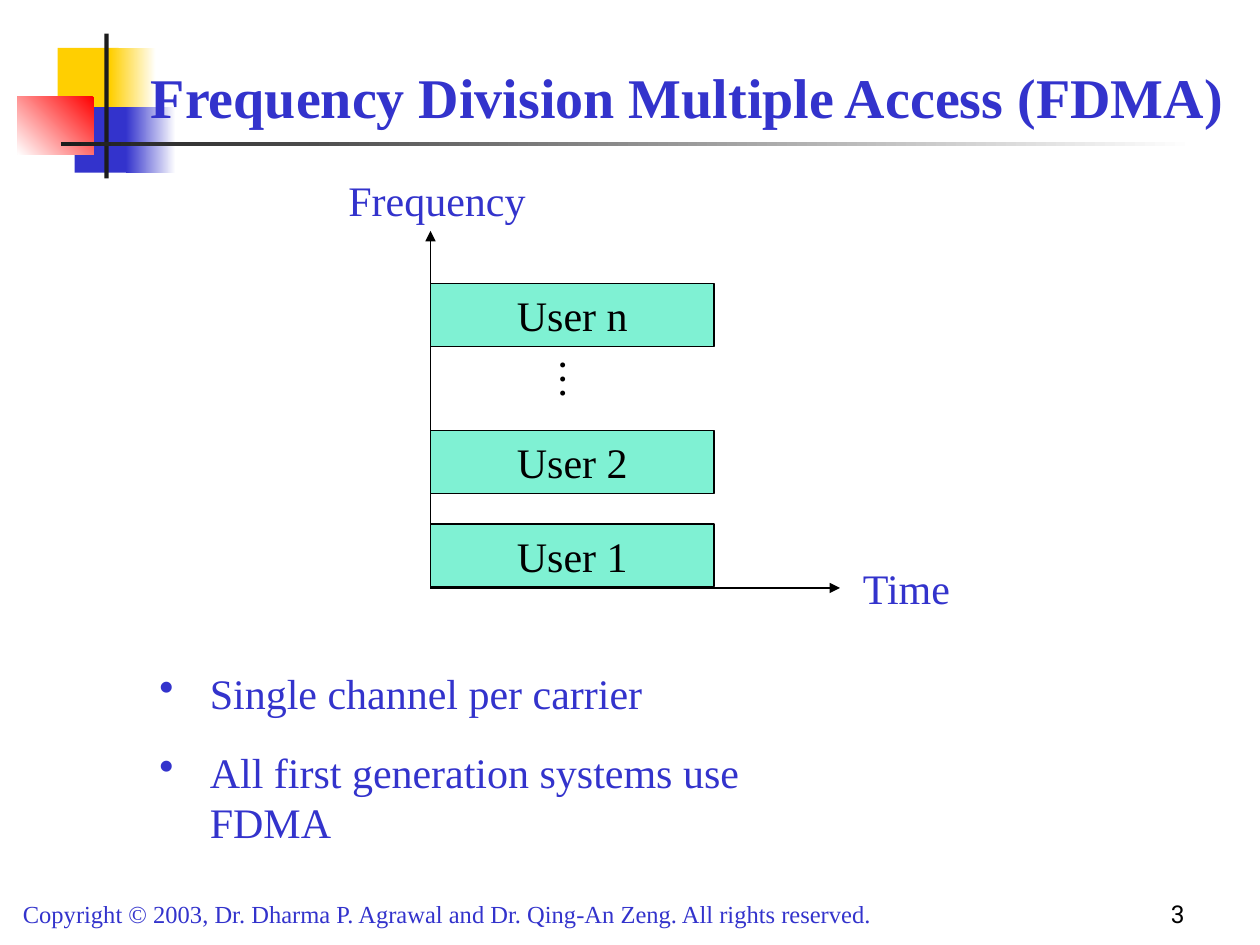
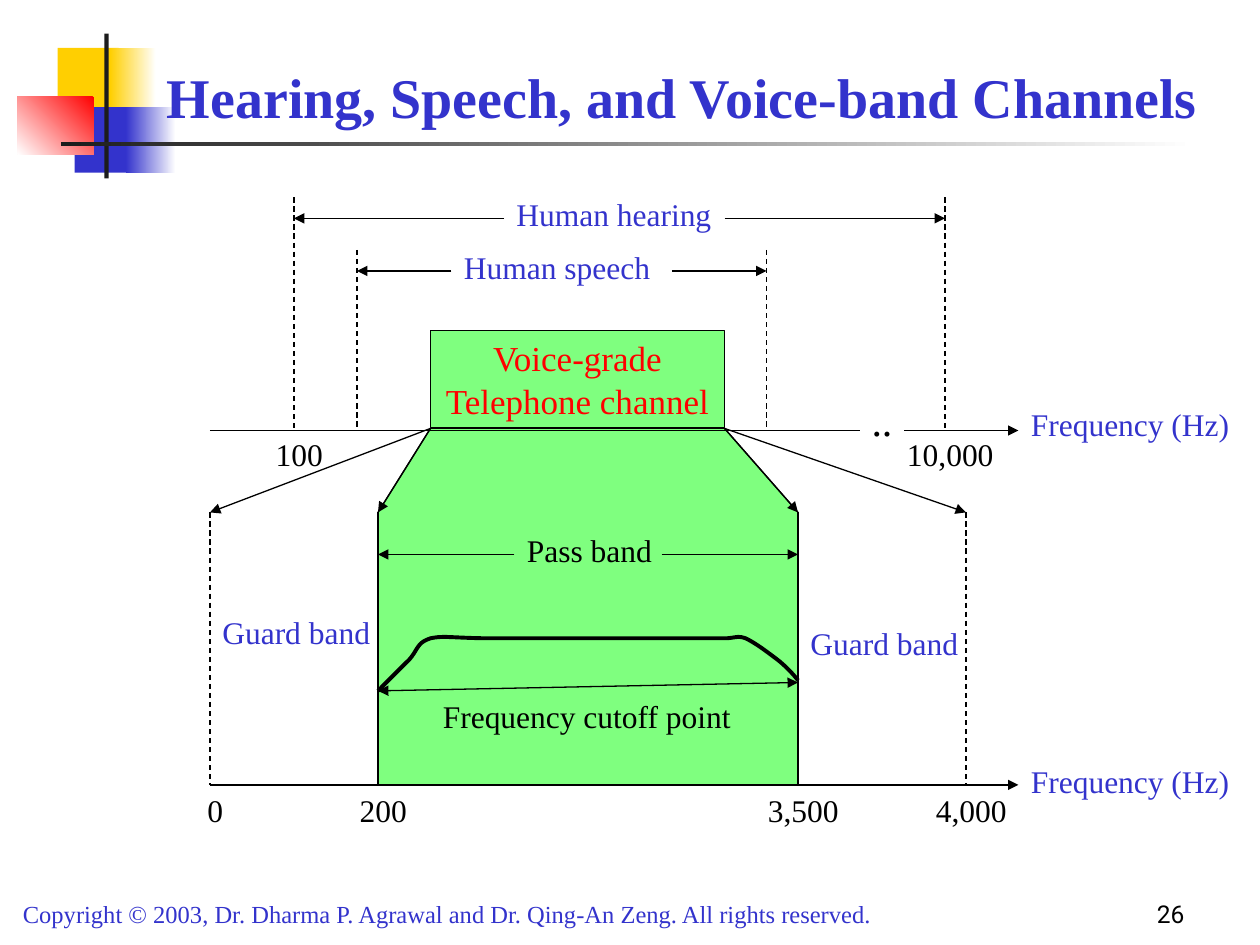
from dataclasses import dataclass

from lxml.etree import SubElement
from pptx import Presentation
from pptx.dml.color import RGBColor as RGB
from pptx.enum.dml import MSO_LINE
from pptx.enum.shapes import MSO_CONNECTOR, MSO_SHAPE
from pptx.enum.text import MSO_ANCHOR as ANCHOR, MSO_AUTO_SIZE as AUTOSIZE, PP_ALIGN as ALIGN
from pptx.oxml.ns import qn
from pptx.util import Emu, Inches, Pt

COLUMNS, ROWS = 120, 90
TITLE_ONLY = 5


@dataclass(frozen=True)
class Theme:
    # Colours
    blue: RGB = RGB(0x33, 0x33, 0xCC)
    yellow: RGB = RGB(0xFF, 0xCF, 0x01)
    red: RGB = RGB(0xFF, 0x00, 0x00)
    charcoal: RGB = RGB(0x1C, 0x1C, 0x1C)
    black: RGB = RGB(0x00, 0x00, 0x00)
    white: RGB = RGB(0xFF, 0xFF, 0xFF)
    mint: RGB = RGB(0x00, 0xE4, 0xA8)
    green: RGB = RGB(0x00, 0xFF, 0x00)
    # Type and line sizes in points
    serif: str = "Times New Roman"
    sans: str = "Roboto"
    title: int = 32
    large: int = 24
    channel: int = 20
    label: int = 18
    footer: int = 14
    thin: float = 0.75
    thick: float = 2.25


def apply(target, formats):
    for name, value in formats.items():
        setattr(target, name, value)


class Deck:
    """Holds the theme and the current slide; lengths are grid columns and rows."""

    def __init__(self, theme):
        self.theme = theme
        self.show = Presentation()
        apply(self.show, {"slide_width": Inches(10), "slide_height": Inches(7.5)})
        self.slide = None

    def x(self, columns):
        return Emu(round(self.show.slide_width * columns / COLUMNS))

    def y(self, rows):
        return Emu(round(self.show.slide_height * rows / ROWS))

    def box(self, left, top, width, height):
        return self.x(left), self.y(top), self.x(width), self.y(height)

    def new_slide(self, title, number, title_left, title_width):
        theme = self.theme
        self.slide = self.show.slides.add_slide(self.show.slide_layouts[TITLE_ONLY])
        self.ornament()
        self.label(1, 85, 91, 4,
                   "Copyright © 2003, Dr. Dharma P. Agrawal and Dr. Qing-An Zeng. "
                   "All rights reserved.", size=theme.footer)
        self.label(89, 83, 25, 6, str(number), size=theme.footer, color=theme.black,
                   font=theme.sans, align=ALIGN.RIGHT, anchor=ANCHOR.BOTTOM)
        # Title, kept in front of the ornament
        heading = self.slide.shapes.title
        left, top, width, height = self.box(title_left, 3, title_width, 10)
        apply(heading, {"left": left, "top": top, "width": width, "height": height})
        self.set_text(heading, [title], size=theme.title, bold=True,
                      align=ALIGN.CENTER, anchor=ANCHOR.BOTTOM)
        heading._element.getparent().append(heading._element)

    def ornament(self):
        theme = self.theme
        self.block(5.5, 4.55, 5.8, 6.25, theme.yellow)
        self.fade(10.5, 4.55, 4.35, 6.25, theme.yellow)
        self.block(7.1, 10.2, 5.55, 6.25, theme.blue)
        self.fade(12, 10.2, 4.75, 6.25, theme.blue)
        self.fade(1.65, 9.2, 7.3, 5.5, theme.red, angle=225)
        self.block(9.95, 3.2, 0.4, 13.8, theme.charcoal)
        self.fade(5.8, 13.55, 108, 0.4, theme.charcoal)

    def set_text(self, holder, lines, size, color=None, font=None, bold=False,
                 align=ALIGN.LEFT, anchor=ANCHOR.TOP, wrap=True, gap=0, bullet_indent=0):
        frame = holder.text_frame
        apply(frame, {
            "auto_size": AUTOSIZE.NONE, "word_wrap": wrap, "vertical_anchor": anchor,
            "margin_left": Inches(0.1), "margin_right": Inches(0.1),
            "margin_top": Inches(0.05), "margin_bottom": Inches(0.05)})
        for index, line in enumerate(lines):
            paragraph = frame.add_paragraph() if index else frame.paragraphs[0]
            paragraph.alignment = align
            if index:
                paragraph.space_before = Pt(gap)
            if bullet_indent:
                self.bullet(paragraph, self.x(bullet_indent))
            run = paragraph.add_run()
            run.text = line
            apply(run.font, {"name": font or self.theme.serif, "size": Pt(size), "bold": bold})
            run.font.color.rgb = color or self.theme.blue

    def bullet(self, paragraph, indent):
        properties = paragraph._p.get_or_add_pPr()
        properties.set("marL", str(indent))
        properties.set("indent", str(-indent))
        SubElement(properties, qn("a:buChar")).set("char", "•")

    def label(self, left, top, width, height, text, rotation=0, **formats):
        holder = self.slide.shapes.add_textbox(*self.box(left, top, width, height))
        holder.rotation = rotation
        lines = [text] if isinstance(text, str) else text
        self.set_text(holder, lines, **{"size": self.theme.label, **formats})

    def paint(self, shape, fill=None, line=None, width=None, sheer=False):
        shape.shadow.inherit = False
        if fill is None:
            shape.fill.background()
        else:
            shape.fill.solid()
            shape.fill.fore_color.rgb = fill
        if sheer:
            color = shape._element.spPr.find(".//" + qn("a:srgbClr"))
            SubElement(color, qn("a:alpha")).set("val", "50000")
        if line is None:
            shape.line.fill.background()
        else:
            shape.line.color.rgb = line
            shape.line.width = Pt(width or self.theme.thin)

    def block(self, left, top, width, height, fill, line=None, sheer=False,
              text=None, **formats):
        shape = self.slide.shapes.add_shape(MSO_SHAPE.RECTANGLE,
                                            *self.box(left, top, width, height))
        self.paint(shape, fill, line, sheer=sheer)
        if text:
            self.set_text(shape, [text], align=ALIGN.CENTER, **formats)
        return shape

    def fade(self, left, top, width, height, color, angle=0):
        fill = self.block(left, top, width, height, color).fill
        fill.gradient()
        fill.gradient_angle = angle
        for stop, shade in zip(fill.gradient_stops, (color, self.theme.white)):
            stop.color.rgb = shade

    def line(self, start, end, ends=(), dashed=False):
        connector = self.slide.shapes.add_connector(
            MSO_CONNECTOR.STRAIGHT, self.x(start[0]), self.y(start[1]),
            self.x(end[0]), self.y(end[1]))
        connector.line.color.rgb = self.theme.black
        connector.line.width = Pt(self.theme.thin)
        if dashed:
            connector.line.dash_style = MSO_LINE.DASH
        for tip in ends:
            SubElement(connector.line._get_or_add_ln(), qn(f"a:{tip}")).set("type", "triangle")
        SubElement(connector._element.spPr, qn("a:effectLst"))

    def arrow(self, start, end):
        self.line(start, end, ends=["tailEnd"])

    def outline(self, points, close, **formats):
        scaled = [(self.x(column), self.y(row)) for column, row in points]
        builder = self.slide.shapes.build_freeform(*scaled[0], scale=1.0)
        builder.add_line_segments(scaled[1:], close=close)
        self.paint(builder.convert_to_shape(), line=self.theme.black, **formats)

    def curve(self, start, segments, steps=10):
        points = [start]
        for control_1, control_2, end in segments:
            corners = list(zip(points[-1], control_1, control_2, end))
            for step in range(1, steps + 1):
                t = step / steps
                weights = ((1 - t) ** 3, 3 * t * (1 - t) ** 2, 3 * t * t * (1 - t), t ** 3)
                points.append(tuple(sum(w * c for w, c in zip(weights, axis))
                                    for axis in corners))
        self.outline(points, close=False, width=self.theme.thick)

    def span(self, left, right, row, gap_left, gap_right, text, **formats):
        self.arrow((gap_right, row), (right, row))
        self.arrow((gap_left, row), (left, row))
        self.label(gap_left, row - 2.8, gap_right - gap_left + 1, 4.8, text, **formats)

    def ticks(self, row, values):
        for column, value in values.items():
            self.label(column - 7, row, 15, 4.8, value, color=self.theme.black,
                       align=ALIGN.CENTER)


def fdma(deck):
    theme = deck.theme
    deck.new_slide("Frequency Division Multiple Access (FDMA)", 3, 12, 107)

    # Axes and user channels
    origin = (41, 56)
    deck.arrow(origin, (80, 56))
    deck.arrow(origin, (41, 22))
    for user, row in {"User 1": 49.9, "User 2": 41, "User n": 27}.items():
        deck.block(41, row, 27, 6, theme.mint, theme.black, sheer=True,
                   text=user, size=theme.large, color=theme.black)
    deck.label(51.5, 33.5, 7, 6, "…", rotation=90, size=theme.large, color=theme.black)
    deck.label(81, 53, 12, 6, "Time", size=theme.large)
    deck.label(32, 16, 20, 6, "Frequency", size=theme.large)

    # Remarks
    deck.label(14, 63, 70, 13.3,
               ["Single channel per carrier", "All first generation systems use FDMA"],
               size=theme.large, gap=16, bullet_indent=4.8)


def voice_band(deck):
    theme = deck.theme
    deck.new_slide("Hearing, Speech, and Voice-band Channels", 26, 14, 102)
    axis, fan_top, fan_foot, base = 41, 40.8, 48.8, 74.75
    zero, pass_left, pass_right, guard_end = 20, 36, 76, 92
    voice_left, voice_right = 41, 69

    # Hearing and speech ranges
    for left, right, row, gap_left, text in ((28, 90, 20.8, 48, "Human hearing"),
                                             (34, 73, 25.8, 43, "Human speech")):
        for column in (left, right):
            deck.line((column, row - 2), (column, fan_top), dashed=True)
        deck.span(left, right, row, gap_left, gap_left + 21, text)

    # Voice channel widening into the pass band
    deck.block(voice_left, 31.5, 28, 9.2, theme.green, theme.black, sheer=True,
               text="Voice-grade Telephone channel", size=theme.channel, color=theme.red)
    deck.outline([(voice_left, fan_top), (pass_left, fan_foot), (pass_left, base),
                  (pass_right, base), (pass_right, fan_foot), (voice_right, fan_top)],
                 close=True, fill=theme.green, sheer=True)
    for top, inner, outer in ((voice_left, pass_left, zero),
                              (voice_right, pass_right, guard_end)):
        deck.arrow((top, fan_top), (inner, fan_foot))
        deck.arrow((top, fan_top), (outer, fan_foot))
        deck.line((inner, fan_foot), (inner, base))
        deck.line((outer, fan_foot), (outer, base), dashed=True)
    deck.span(pass_left, pass_right, 52.8, 49, 63, "Pass band", color=theme.black)

    # Response curve and cutoff points
    deck.curve((pass_left, 65.8), [
        ((37.1, 64.7), (38.2, 63.6), (39, 62.8)),
        ((39.8, 61.9), (39.7, 61.2), (41, 60.8)),
        ((42.4, 60.5), (43, 60.8), (47, 60.8)),
        ((51, 60.8), (61.3, 60.8), (65, 60.8)),
        ((68.6, 60.8), (68, 60.8), (69, 60.8)),
        ((70, 60.8), (70.2, 60.5), (71, 60.8)),
        ((71.9, 61.2), (73.2, 62.2), (74, 62.8)),
        ((74.9, 63.5), (75.7, 64.4), (pass_right, 64.8))])
    deck.line((pass_left, 65.8), (pass_right, 65), ends=["headEnd", "tailEnd"])
    deck.label(41, 65.8, 30, 4.8, "Frequency cutoff point", color=theme.black)
    for column, row in ((zero, 57.8), (pass_right, 58.8)):
        deck.label(column, row, 18, 4.8, "Guard band")

    # Frequency axes with a break in the upper one
    deck.line((zero, axis), (82, axis))
    deck.arrow((84, axis), (97, axis))
    deck.arrow((zero, base), (97, base))
    for row in (38, 72):
        deck.label(97, row, 23, 4.8, "Frequency (Hz)")
    deck.ticks(fan_top, {28: "100", 90: "10,000"})
    deck.ticks(base, {zero: "0", pass_left: "200", pass_right: "3,500", guard_end: "4,000"})
    deck.block(82, 36, 4, 8, theme.white, theme.white, text="..", size=theme.large,
               color=theme.black, anchor=ANCHOR.MIDDLE, wrap=False)


def main():
    deck = Deck(Theme())
    fdma(deck)
    voice_band(deck)
    deck.show.save("out.pptx")


if __name__ == "__main__":
    main()
